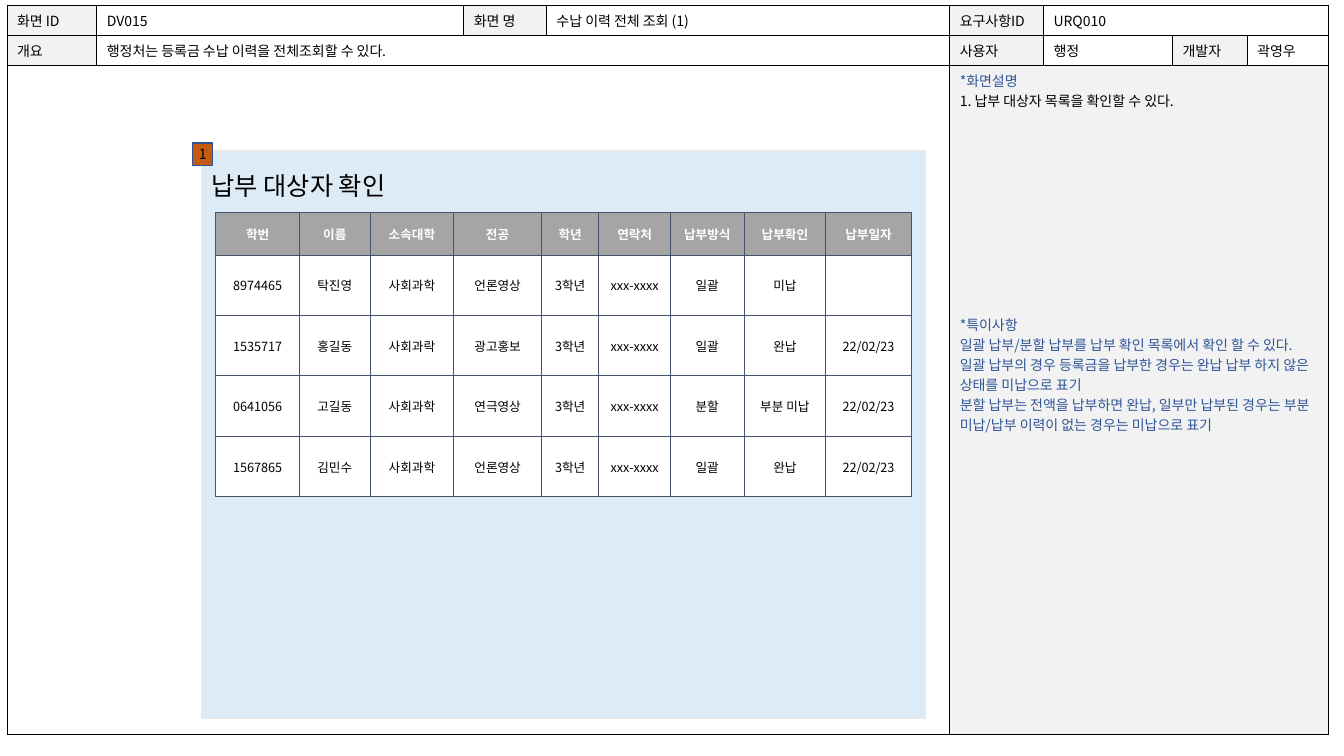
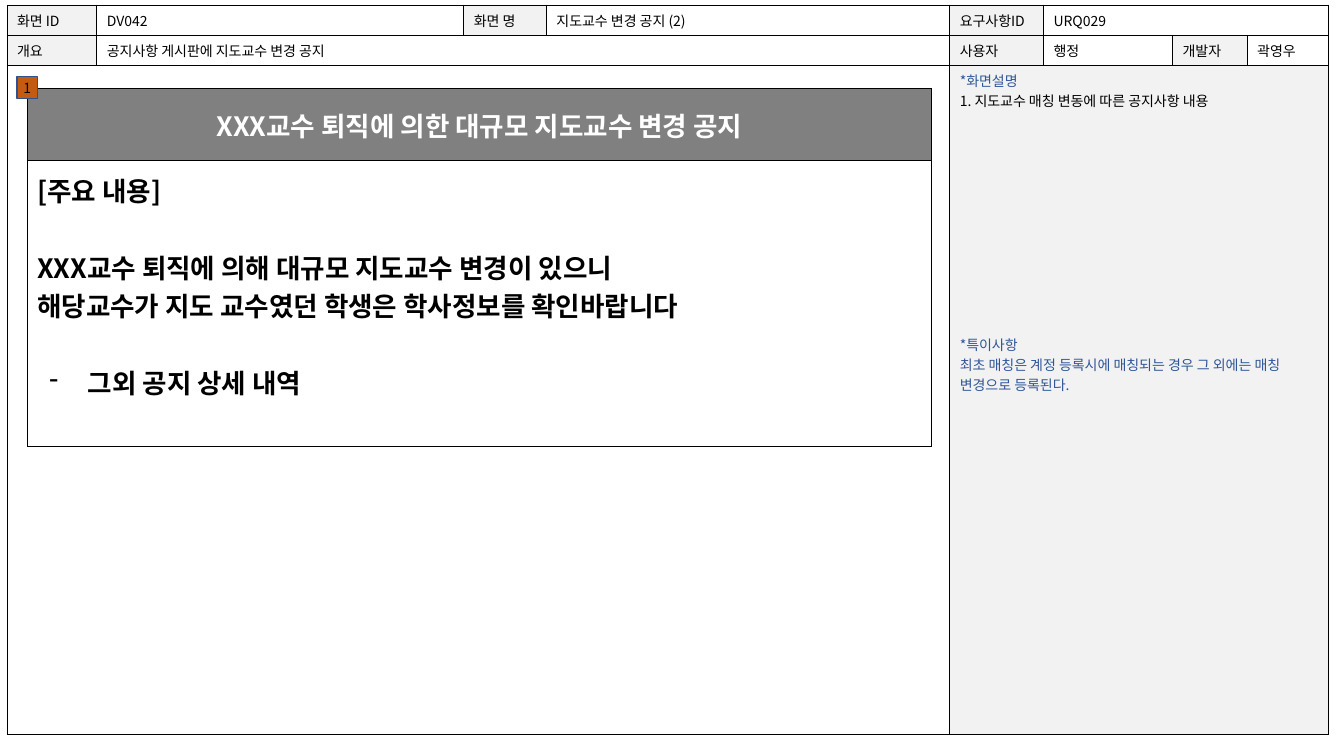
from lxml import etree
from pptx import Presentation
from pptx.dml.color import RGBColor
from pptx.enum import shapes, text
from pptx.oxml.ns import qn
from pptx.util import Inches, Pt

FONT = "Noto Sans CJK KR"
COLORS = {
    "ink": "000000",
    "white": "FFFFFF",
    "label": "F2F2F2",
    "note": "2F5597",
    "panel": "DDEBF7",
    "panel_line": "EAEAEA",
    "marker": "C55A11",
    "marker_line": "2F528F",
    "grid": "44546A",
    "column_head": "A5A5A5",
    "notice_head": "808080",
}
LINE_PITCH = 1.45
TITLE_ONLY, BLANK = 5, 6


def rgb(name):
    return RGBColor.from_string(COLORS[name])


class ScreenDeck:
    def __init__(self):
        self.deck = Presentation()
        self.deck.slide_width = Inches(13.33)
        self.deck.slide_height = Inches(7.5)
        self.page = None

    def add_page(self, layout):
        self.page = self.deck.slides.add_slide(self.deck.slide_layouts[layout])

    def style(self, para, size, color="ink", bold=False, align=text.PP_ALIGN.LEFT):
        para.alignment = align
        for span in para.runs:
            span.font.name = FONT
            span.font.size = Pt(size)
            span.font.bold = bold
            span.font.color.rgb = rgb(color)
            east_asian = etree.SubElement(span.font._element, qn("a:ea"))
            east_asian.set("typeface", FONT)

    def set_lines(self, frame, lines, size, **look):
        frame.text = "\n".join(lines)
        for para in frame.paragraphs:
            self.style(para, size, **look)
        return frame.paragraphs

    def indent(self, para, left, first):
        properties = para._p.get_or_add_pPr()
        properties.set("marL", str(Inches(left)))
        properties.set("indent", str(Inches(first)))
        return properties

    def border(self, cell, color):
        properties = cell._tc.get_or_add_tcPr()
        for place, side in enumerate(("a:lnL", "a:lnR", "a:lnT", "a:lnB")):
            line = etree.Element(qn(side), w=str(Pt(0.75)))
            fill = etree.SubElement(line, qn("a:solidFill"))
            etree.SubElement(fill, qn("a:srgbClr"), val=COLORS[color])
            properties.insert(place, line)

    def table(self, left, top, widths, heights, line="ink", inset=0.1):
        table = self.page.shapes.add_table(
            len(heights), len(widths), Inches(left), Inches(top),
            Inches(sum(widths)), Inches(sum(heights))).table
        table.first_row = table.horz_banding = False
        for column, width in zip(table.columns, widths):
            column.width = Inches(width)
        for row, height in zip(table.rows, heights):
            row.height = Inches(height)
        for cell in table.iter_cells():
            cell.margin_left = cell.margin_right = Inches(0.1)
            cell.margin_top = cell.margin_bottom = Inches(inset)
            self.fill(cell, "white")
            self.border(cell, line)
        return table

    def fill(self, item, color):
        item.fill.solid()
        item.fill.fore_color.rgb = rgb(color)

    def box(self, left, top, width, height, fill, line):
        box = self.page.shapes.add_shape(
            shapes.MSO_SHAPE.RECTANGLE, Inches(left), Inches(top),
            Inches(width), Inches(height))
        box.shadow.inherit = False
        self.fill(box, fill)
        box.line.color.rgb = rgb(line)
        box.line.width = Pt(1)
        return box

    def clear_margins(self, frame):
        frame.margin_left = frame.margin_right = 0
        frame.margin_top = frame.margin_bottom = 0

    def marker(self, left, top, number):
        box = self.box(left, top, 0.2, 0.22, "marker", "marker_line")
        self.clear_margins(box.text_frame)
        box.text_frame.vertical_anchor = text.MSO_ANCHOR.MIDDLE
        self.set_lines(box.text_frame, [number], 10, align=text.PP_ALIGN.CENTER)

    def title(self, left, top, width, height, words):
        title = self.page.shapes.title
        title.left, title.top = Inches(left), Inches(top)
        title.width, title.height = Inches(width), Inches(height)
        frame = title.text_frame
        self.clear_margins(frame)
        frame.word_wrap = True
        frame.auto_size = text.MSO_AUTO_SIZE.NONE
        frame.vertical_anchor = text.MSO_ANCHOR.TOP
        self.set_lines(frame, [words], 18)
        title.element.getparent().append(title.element)

    def screen_frame(self, screen_id, name, requirement, summary, description, gap, remarks):
        table = self.table(
            0.07, 0.05, [0.89, 3.64, 0.82, 4, 0.93, 1.28, 0.74, 0.81],
            [0.3, 0.3, 6.64], inset=0.05)
        for row, first, last in ((0, 5, 7), (1, 1, 3), (2, 0, 3), (2, 4, 7)):
            table.cell(row, first).merge(table.cell(row, last))
        entries = (
            {0: "화면 ID", 1: screen_id, 2: "화면 명", 3: name, 4: "요구사항ID", 5: requirement},
            {0: "개요", 1: summary, 4: "사용자", 5: "행정", 6: "개발자", 7: "곽영우"},
        )
        for row, entry in enumerate(entries):
            for column, words in entry.items():
                cell = table.cell(row, column)
                self.set_lines(cell.text_frame, [words], 10)
                if column % 2 == 0:
                    self.fill(cell, "label")
        notes = table.cell(2, 4)
        self.fill(notes, "label")
        lines = ["*화면설명", description, "*특이사항", *remarks]
        paras = self.set_lines(notes.text_frame, lines, 10, color="note")
        for span in paras[1].runs:
            span.font.color.rgb = rgb("ink")
        self.indent(paras[1], 0.25, -0.25)
        paras[2].space_before = Pt(gap * 10 * LINE_PITCH)

    def records(self, left, top, widths, rows):
        table = self.table(left, top, widths, [0.42] + [0.6] * (len(rows) - 1), line="grid")
        for row, values in enumerate(rows):
            head = row == 0
            for column, value in enumerate(values):
                cell = table.cell(row, column)
                cell.vertical_anchor = text.MSO_ANCHOR.MIDDLE
                self.set_lines(cell.text_frame, [value], 9, bold=head,
                               color="white" if head else "ink", align=text.PP_ALIGN.CENTER)
                if head:
                    self.fill(cell, "column_head")

    def notice(self, left, top, widths, heading, lines, spaced):
        table = self.table(left, top, widths, [0.71] * 5)
        last = len(widths) - 1
        table.cell(0, 0).merge(table.cell(0, last))
        table.cell(1, 0).merge(table.cell(4, last))
        head, body = table.cell(0, 0), table.cell(1, 0)
        self.fill(head, "notice_head")
        head.vertical_anchor = text.MSO_ANCHOR.MIDDLE
        self.set_lines(head.text_frame, [heading], 19, color="white", bold=True,
                       align=text.PP_ALIGN.CENTER)
        paras = self.set_lines(body.text_frame, lines, 19, bold=True)
        for place in spaced:
            paras[place].space_before = Pt(19 * LINE_PITCH)
        properties = self.indent(paras[-1], 0.5, -0.38)
        etree.SubElement(properties, qn("a:buChar"), char="-")


screens = ScreenDeck()

screens.add_page(TITLE_ONLY)
screens.screen_frame(
    "DV015", "수납 이력 전체 조회 (1)", "URQ010",
    "행정처는 등록금 수납 이력을 전체조회할 수 있다.",
    "1. 납부 대상자 목록을 확인할 수 있다.", 10,
    ["일괄 납부/분할 납부를 납부 확인 목록에서 확인 할 수 있다.",
     "일괄 납부의 경우 등록금을 납부한 경우는 완납 납부 하지 않은 상태를 미납으로 표기",
     "분할 납부는 전액을 납부하면 완납, 일부만 납부된 경우는 부분 미납/납부 이력이 없는 경우는 미납으로 표기"])
screens.box(2, 1.5, 7.18, 5.63, "panel", "panel_line")
screens.marker(1.91, 1.42, "1")
screens.records(
    2.14, 2.11, [0.83, 0.7, 0.83, 0.87, 0.57, 0.71, 0.73, 0.81, 0.85],
    [["학번", "이름", "소속대학", "전공", "학년", "연락처", "납부방식", "납부확인", "납부일자"],
     ["8974465", "탁진영", "사회과학", "언론영상", "3학년", "xxx-xxxx", "일괄", "미납", ""],
     ["1535717", "홍길동", "사회과락", "광고홍보", "3학년", "xxx-xxxx", "일괄", "완납", "22/02/23"],
     ["0641056", "고길동", "사회과학", "연극영상", "3학년", "xxx-xxxx", "분할", "부분 미납", "22/02/23"],
     ["1567865", "김민수", "사회과학", "언론영상", "3학년", "xxx-xxxx", "일괄", "완납", "22/02/23"]])
screens.title(2.1, 1.69, 4.08, 0.41, "납부 대상자 확인")

screens.add_page(BLANK)
screens.screen_frame(
    "DV042", "지도교수 변경 공지 (2)", "URQ029",
    "공지사항 게시판에 지도교수 변경 공지",
    "1. 지도교수 매칭 변동에 따른 공지사항 내용", 11,
    ["최초 매칭은 계정 등록시에 매칭되는 경우 그 외에는 매칭 변경으로 등록된다."])
screens.notice(
    0.27, 0.88, [1.14, 3.83, 1.58, 1.31, 1.11],
    "XXX교수 퇴직에 의한 대규모 지도교수 변경 공지",
    ["[주요 내용]",
     "XXX교수 퇴직에 의해 대규모 지도교수 변경이 있으니",
     "해당교수가 지도 교수였던 학생은 학사정보를 확인바랍니다",
     "그외 공지 상세 내역"],
    spaced=(1, 3))
screens.marker(0.17, 0.76, "1")

screens.deck.save("out.pptx")
